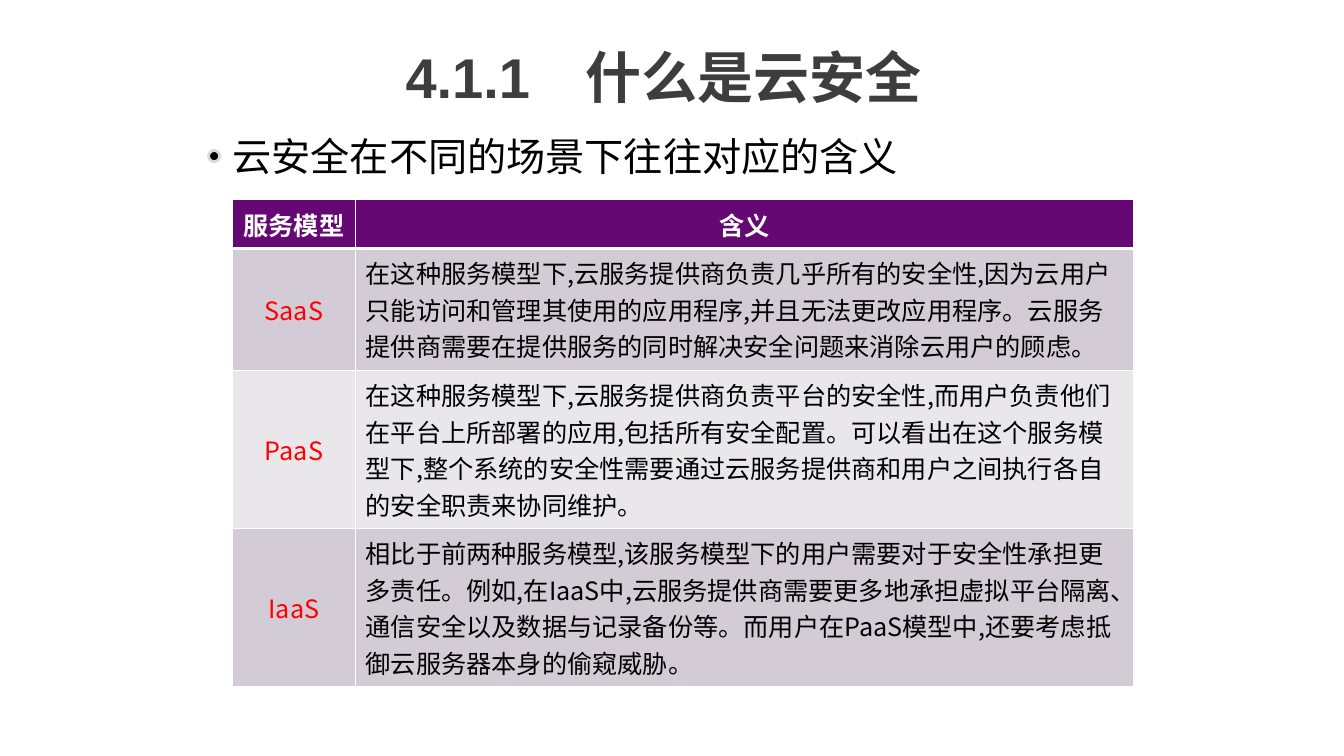
from lxml import etree
from pptx import Presentation
from pptx.dml.color import RGBColor
from pptx.enum.shapes import MSO_SHAPE
from pptx.enum.text import MSO_ANCHOR, MSO_AUTO_SIZE, PP_ALIGN
from pptx.oxml.ns import qn
from pptx.util import Pt

OVAL = MSO_SHAPE.OVAL
MIDDLE = MSO_ANCHOR.MIDDLE
FIXED, GROW = MSO_AUTO_SIZE.NONE, MSO_AUTO_SIZE.SHAPE_TO_FIT_TEXT
LEFT, CENTER = PP_ALIGN.LEFT, PP_ALIGN.CENTER

WHITE = RGBColor(0xFF, 0xFF, 0xFF)
BLACK = RGBColor(0, 0, 0)
RED = RGBColor(0xFF, 0, 0)
INK = RGBColor(0x3D, 0x3D, 0x3D)
SILVER = RGBColor(0xD9, 0xD9, 0xD9)
PURPLE = RGBColor(0x66, 0x08, 0x74)
BANDS = RGBColor(0xD3, 0xCC, 0xD6), RGBColor(0xEA, 0xE7, 0xEB)

HANZI = "Noto Sans CJK SC"
LATIN = "Arial"

COLS = 88, 556
ROWS = 35, 87, 113, 113
HEAD = "服务模型", "含义"
MODELS = [
    ("SaaS", "在这种服务模型下,云服务提供商负责几乎所有的安全性,因为云用户只能访问和管理"
             "其使用的应用程序,并且无法更改应用程序。云服务提供商需要在提供服务的同时解决"
             "安全问题来消除云用户的顾虑。"),
    ("PaaS", "在这种服务模型下,云服务提供商负责平台的安全性,而用户负责他们在平台上所部署"
             "的应用,包括所有安全配置。可以看出在这个服务模型下,整个系统的安全性需要通过"
             "云服务提供商和用户之间执行各自的安全职责来协同维护。"),
    ("IaaS", "相比于前两种服务模型,该服务模型下的用户需要对于安全性承担更多责任。例如,在"
             "IaaS中,云服务提供商需要更多地承担虚拟平台隔离、通信安全以及数据与记录备份"
             "等。而用户在PaaS模型中,还要考虑抵御云服务器本身的偷窥威胁。"),
]


class Deck:
    def __init__(self, width, height):
        self.prs = Presentation()
        self.prs.slide_width, self.prs.slide_height = Pt(width), Pt(height)
        self.slide = self.prs.slides.add_slide(self.prs.slide_layouts[5])

    def put(self, frame, text, size, color, bold=False, align=LEFT, face=HANZI):
        """Fill a text frame with one styled paragraph."""
        frame.text = text
        para = frame.paragraphs[0]
        para.alignment = align
        font = para.font
        font.size, font.bold, font.name = Pt(size), bold, face
        font.color.rgb = color
        props = para._p.pPr.find(qn("a:defRPr"))
        etree.SubElement(props, qn("a:ea")).set("typeface", HANZI)

    def title(self, text, x, y, w, h):
        box = self.slide.shapes.title
        box.left, box.top, box.width, box.height = map(Pt, (x, y, w, h))
        frame = box.text_frame
        frame.auto_size, frame.vertical_anchor = FIXED, MIDDLE
        self.put(frame, text, 40, INK, True, CENTER, LATIN)

    def label(self, text, x, y, w, h):
        box = self.slide.shapes.add_textbox(*map(Pt, (x, y, w, h)))
        box.text_frame.word_wrap = False
        box.text_frame.auto_size = GROW
        self.put(box.text_frame, text, 28, BLACK)

    def dot(self, x, y, size):
        dot = self.slide.shapes.add_shape(OVAL, *map(Pt, (x, y, size, size)))
        dot.shadow.inherit = False
        dot.fill.solid()
        dot.fill.fore_color.rgb = BLACK
        dot.line.color.rgb = SILVER
        dot.line.width = Pt(2)

    def edge(self, cell, side, width):
        """Draw a white border on one side (L, R, T or B) of a cell."""
        props = cell._tc.get_or_add_tcPr()
        line = etree.SubElement(props, qn("a:ln" + side), w=str(Pt(width)))
        fill = etree.SubElement(line, qn("a:solidFill"))
        etree.SubElement(fill, qn("a:srgbClr"), val=str(WHITE))

    def cell(self, cell, text, fill, color, bold, align, top, base):
        for side, width in zip("LRTB", (1, 1, top, base)):
            self.edge(cell, side, width)
        cell.fill.solid()
        cell.fill.fore_color.rgb = fill
        cell.vertical_anchor = MIDDLE
        self.put(cell.text_frame, text, 18, color, bold, align)

    def table(self, x, y):
        size = map(Pt, (x, y, sum(COLS), sum(ROWS)))
        grid = self.slide.shapes.add_table(len(ROWS), len(COLS), *size).table
        for col, width in zip(grid.columns, COLS):
            col.width = Pt(width)
        for row, height in zip(grid.rows, ROWS):
            row.height = Pt(height)
        for c, text in enumerate(HEAD):
            self.cell(grid.cell(0, c), text, PURPLE, WHITE, True, CENTER, 1, 3)
        for r, (name, sense) in enumerate(MODELS, 1):
            fill, top = BANDS[(r - 1) % 2], 3 if r == 1 else 1
            self.cell(grid.cell(r, 0), name, fill, RED, False, CENTER, top, 1)
            self.cell(grid.cell(r, 1), sense, fill, BLACK, False, LEFT, top, 1)


def main():
    deck = Deck(960, 540)
    deck.label("云安全在不同的场景下往往对应的含义", 159, 91, 490, 41)
    deck.dot(149, 107.5, 8)
    deck.table(166, 142.5)
    deck.title("4.1.1　什么是云安全", 168, 24, 612, 60)
    deck.prs.save("out.pptx")


if __name__ == "__main__":
    main()
